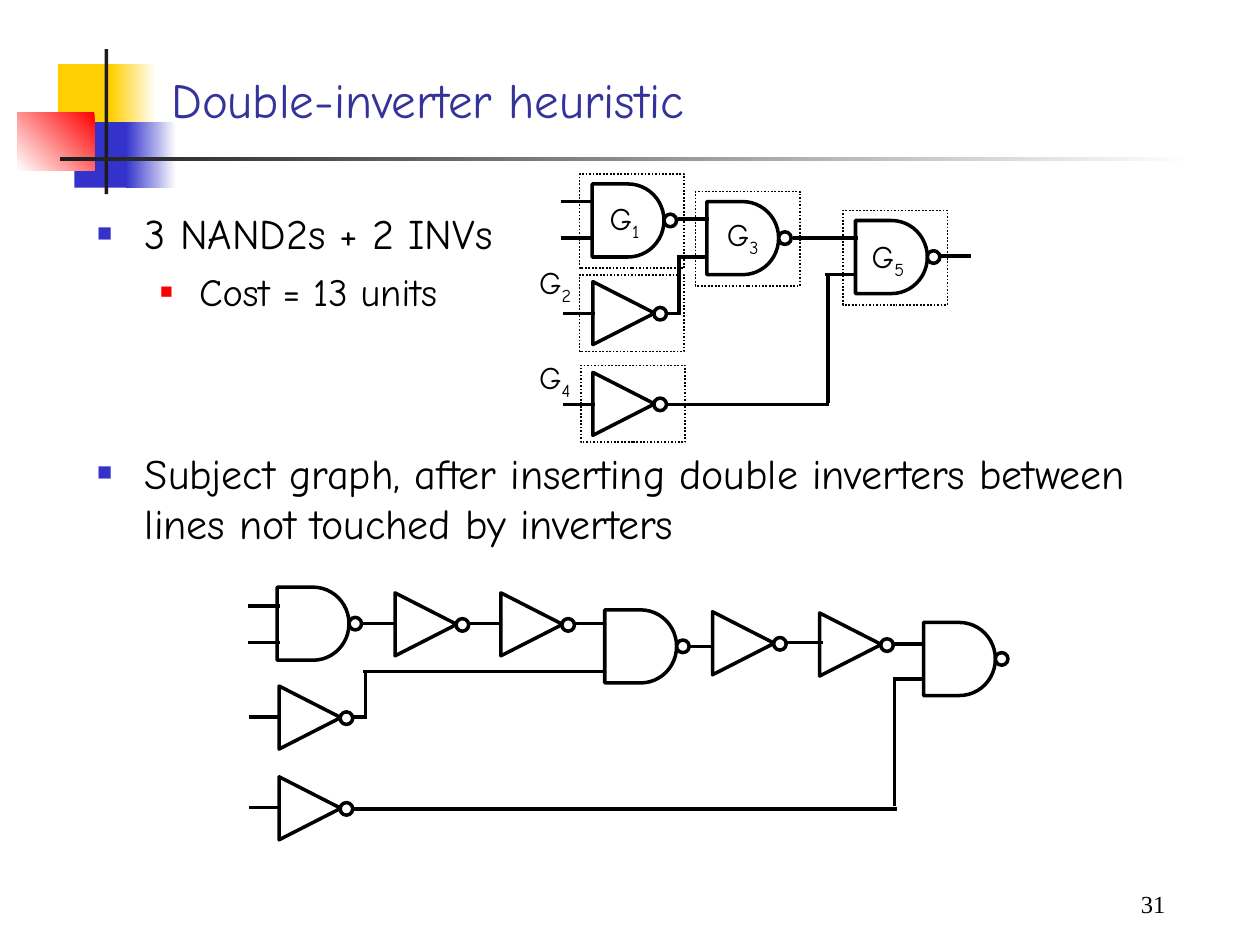
from dataclasses import dataclass
from typing import Optional

from lxml.etree import SubElement
from pptx import Presentation
from pptx.dml.color import RGBColor
from pptx.enum.dml import MSO_LINE
from pptx.enum.shapes import MSO_CONNECTOR, MSO_SHAPE
from pptx.enum.text import MSO_ANCHOR, MSO_AUTO_SIZE, PP_ALIGN
from pptx.oxml.ns import qn
from pptx.util import Inches, Pt

WHITE = RGBColor(0xFF, 0xFF, 0xFF)
BLACK = RGBColor(0x00, 0x00, 0x00)
YELLOW = RGBColor(0xFF, 0xCF, 0x01)
BLUE = RGBColor(0x33, 0x33, 0xCC)
RED = RGBColor(0xFF, 0x00, 0x00)
CHARCOAL = RGBColor(0x1C, 0x1C, 0x1C)
TITLE_BLUE = RGBColor(0x33, 0x33, 0x99)
TEXT_FONT = "Comic Neue"
NUMBER_FONT = "Times New Roman"


@dataclass(frozen=True)
class Block:
    left: float
    top: float
    width: float
    height: float
    color: RGBColor
    fade_to: Optional[RGBColor] = None
    angle: float = 180


@dataclass(frozen=True)
class GateKind:
    preset: MSO_SHAPE
    width: float
    height: float
    rotation: float
    bubble_left: float
    bubble_top: float


@dataclass(frozen=True)
class Gate:
    kind: GateKind
    left: float
    top: float


@dataclass(frozen=True)
class Wire:
    start_x: float
    start_y: float
    end_x: float
    end_y: float


@dataclass(frozen=True)
class Label:
    digit: str
    left: float
    top: float


@dataclass(frozen=True)
class Frame:
    left: float
    top: float
    height: float


@dataclass(frozen=True)
class Bullet:
    text: str
    level: int
    size: float
    space_before: float
    margin: float
    indent: float
    color: RGBColor
    percent: int


NAND = GateKind(MSO_SHAPE.FLOWCHART_DELAY, 0.57, 0.58, 0, 0.57, 0.24)
INVERTER = GateKind(MSO_SHAPE.FLOWCHART_MERGE, 0.5, 0.49, 270, 0.49, 0.2)
BUBBLE_SIZE = 0.1
FRAME_WIDTH = 0.83

BLOCKS = [
    Block(0.46, 0.51, 0.48, 0.52, YELLOW),
    Block(0.88, 0.51, 0.36, 0.52, WHITE, YELLOW),
    Block(0.59, 0.97, 0.46, 0.52, BLUE),
    Block(1, 0.97, 0.4, 0.52, WHITE, BLUE),
    Block(0.14, 0.89, 0.61, 0.46, RED, WHITE, 225),
    Block(0.83, 0.39, 0.03, 1.15, CHARCOAL),
    Block(0.48, 1.25, 9, 0.03, WHITE, CHARCOAL),
]
BULLETS = [
    Bullet("3 NAND2s + 2 INVs", 0, 24, 6, 0.38, -0.38, BLUE, 60),
    Bullet("Cost = 13 units", 1, 22, 5.5, 0.81, -0.31, RED, 55),
    Bullet("Subject graph, after inserting double inverters between lines "
           "not touched by inverters", 0, 24, 76, 0.38, -0.38, BLUE, 60),
]
MAPPED_GATES = [
    Gate(NAND, 4.7, 1.46), Gate(INVERTER, 4.7, 2.24), Gate(NAND, 5.61, 1.6),
    Gate(NAND, 6.79, 1.75), Gate(INVERTER, 4.7, 2.96),
]
MAPPED_WIRES = [
    Wire(4.45, 1.6, 4.7, 1.6), Wire(4.45, 1.89, 4.7, 1.89),
    Wire(4.47, 2.49, 4.72, 2.49), Wire(5.38, 1.74, 5.63, 1.74),
    Wire(5.37, 2.04, 5.62, 2.04), Wire(5.39, 2.04, 5.39, 2.5),
    Wire(5.3, 2.49, 5.38, 2.49), Wire(6.29, 1.89, 6.81, 1.89),
    Wire(6.55, 2.18, 6.8, 2.18), Wire(7.46, 2.03, 7.71, 2.03),
    Wire(6.57, 2.18, 6.57, 3.2), Wire(4.47, 3.21, 4.72, 3.21),
    Wire(5.28, 3.21, 6.58, 3.21),
]
SUBJECT_GATES = [
    Gate(NAND, 2.2, 4.66), Gate(INVERTER, 2.21, 5.45), Gate(NAND, 4.8, 4.84),
    Gate(NAND, 7.33, 4.94), Gate(INVERTER, 2.21, 6.17),
    Gate(INVERTER, 3.13, 4.71), Gate(INVERTER, 3.97, 4.71),
    Gate(INVERTER, 5.65, 4.86), Gate(INVERTER, 6.5, 4.87),
]
SUBJECT_WIRES = [
    Wire(1.97, 4.81, 2.22, 4.81), Wire(1.97, 5.1, 2.22, 5.1),
    Wire(1.98, 5.69, 2.23, 5.69), Wire(2.88, 4.95, 3.13, 4.95),
    Wire(2.88, 5.33, 4.8, 5.33), Wire(2.9, 5.33, 2.9, 5.71),
    Wire(2.81, 5.69, 2.89, 5.69), Wire(5.47, 5.13, 5.65, 5.13),
    Wire(7.09, 5.39, 7.34, 5.39), Wire(7.09, 5.11, 7.34, 5.11),
    Wire(7.1, 5.39, 7.1, 6.4), Wire(1.98, 6.41, 2.23, 6.41),
    Wire(2.79, 6.42, 7.12, 6.42), Wire(3.73, 4.95, 3.98, 4.95),
    Wire(4.56, 4.95, 4.81, 4.95), Wire(6.24, 5.1, 6.53, 5.1),
]
LABELS = [
    Label("1", 4.74, 1.53), Label("2", 4.18, 2.04), Label("3", 5.67, 1.66),
    Label("4", 4.18, 2.79), Label("5", 6.82, 1.83),
]
FRAMES = [
    Frame(4.6, 1.38, 0.75), Frame(4.6, 2.18, 0.61), Frame(5.52, 1.52, 0.75),
    Frame(4.61, 2.9, 0.61), Frame(6.69, 1.67, 0.75),
]


def place(shape, left: float, top: float, width: float, height: float) -> None:
    shape.left, shape.top = Inches(left), Inches(top)
    shape.width, shape.height = Inches(width), Inches(height)


def add_run(paragraph, text: str, size: float, color: RGBColor, font: str = TEXT_FONT):
    run = paragraph.add_run()
    run.text = text
    run.font.size, run.font.name = Pt(size), font
    run.font.color.rgb = color
    return run


def add_preset(slide, preset: MSO_SHAPE, left: float, top: float, width: float, height: float):
    shape = slide.shapes.add_shape(preset, Inches(left), Inches(top), Inches(width), Inches(height))
    shape.shadow.inherit = False
    return shape


def draw_block(slide, block: Block) -> None:
    shape = add_preset(slide, MSO_SHAPE.RECTANGLE, block.left, block.top, block.width, block.height)
    shape.line.fill.background()
    if block.fade_to is None:
        shape.fill.solid()
        shape.fill.fore_color.rgb = block.color
        return
    shape.fill.gradient()
    shape.fill.gradient_angle = block.angle
    for stop, color in zip(shape.fill.gradient_stops, (block.color, block.fade_to)):
        stop.color.rgb = color


def draw_gate(slide, gate: Gate) -> None:
    kind = gate.kind
    body = add_preset(slide, kind.preset, gate.left, gate.top, kind.width, kind.height)
    body.rotation = kind.rotation
    bubble = add_preset(slide, MSO_SHAPE.FLOWCHART_CONNECTOR, gate.left + kind.bubble_left,
                        gate.top + kind.bubble_top, BUBBLE_SIZE, BUBBLE_SIZE)
    for shape in (body, bubble):
        shape.fill.solid()
        shape.fill.fore_color.rgb = WHITE
        shape.line.color.rgb = BLACK
        shape.line.width = Pt(2)


def draw_wire(slide, wire: Wire) -> None:
    connector = slide.shapes.add_connector(
        MSO_CONNECTOR.STRAIGHT, Inches(wire.start_x), Inches(wire.start_y),
        Inches(wire.end_x), Inches(wire.end_y))
    connector.line.color.rgb = BLACK
    connector.line.width = Pt(2)
    SubElement(connector._element.spPr, qn("a:effectLst"))


def draw_label(slide, label: Label) -> None:
    box = slide.shapes.add_textbox(Inches(label.left), Inches(label.top), Inches(0.45), Inches(0.44))
    box.text_frame.word_wrap = True
    box.text_frame.margin_right = 0
    paragraph = box.text_frame.paragraphs[0]
    add_run(paragraph, "G", 18, BLACK)
    subscript = add_run(paragraph, label.digit, 18, BLACK)
    subscript.font._element.set("baseline", "-25000")


def draw_frame(slide, frame: Frame) -> None:
    shape = add_preset(slide, MSO_SHAPE.RECTANGLE, frame.left, frame.top, FRAME_WIDTH, frame.height)
    shape.fill.background()
    shape.line.color.rgb = BLACK
    shape.line.width = Pt(1)
    shape.line.dash_style = MSO_LINE.ROUND_DOT


def write_bullet(paragraph, bullet: Bullet) -> None:
    paragraph.level = bullet.level
    paragraph.space_before = Pt(bullet.space_before)
    add_run(paragraph, bullet.text, bullet.size, BLACK)
    properties = paragraph._p.get_or_add_pPr()
    properties.set("marL", str(Inches(bullet.margin)))
    properties.set("indent", str(Inches(bullet.indent)))
    bullet_color = SubElement(properties, qn("a:buClr"))
    SubElement(bullet_color, qn("a:srgbClr"), val=str(bullet.color))
    SubElement(properties, qn("a:buSzPct"), val=str(bullet.percent * 1000))
    SubElement(properties, qn("a:buChar"), char="■")


def write_text(slide) -> None:
    title, body = slide.shapes.title, slide.placeholders[1]
    place(title, 1.26, 0.22, 8.52, 0.85)
    title.text_frame.vertical_anchor = MSO_ANCHOR.BOTTOM
    title.text_frame.auto_size = MSO_AUTO_SIZE.NONE
    heading = title.text_frame.paragraphs[0]
    heading.alignment = PP_ALIGN.LEFT
    add_run(heading, "Double-inverter heuristic", 28, TITLE_BLUE)
    place(body, 0.67, 1.6, 8.5, 5.2)
    frame = body.text_frame
    frame.auto_size = MSO_AUTO_SIZE.NONE
    for index, bullet in enumerate(BULLETS):
        write_bullet(frame.add_paragraph() if index else frame.paragraphs[0], bullet)


def write_slide_number(slide) -> None:
    box = slide.shapes.add_textbox(Inches(7.42), Inches(6.92), Inches(2.08), Inches(0.5))
    frame = box.text_frame
    frame.word_wrap = True
    frame.vertical_anchor = MSO_ANCHOR.MIDDLE
    frame.margin_left, frame.margin_right = Inches(1.4), Inches(0.25)
    frame.margin_top = frame.margin_bottom = 0
    frame.paragraphs[0].alignment = PP_ALIGN.RIGHT
    add_run(frame.paragraphs[0], "31", 14, BLACK, NUMBER_FONT)


def main() -> None:
    presentation = Presentation()
    presentation.slide_width, presentation.slide_height = Inches(10), Inches(7.5)
    slide = presentation.slides.add_slide(presentation.slide_layouts[1])
    write_text(slide)
    for draw, items in (
        (draw_block, BLOCKS),
        (draw_gate, SUBJECT_GATES + MAPPED_GATES),
        (draw_wire, SUBJECT_WIRES + MAPPED_WIRES),
        (draw_label, LABELS),
        (draw_frame, FRAMES),
    ):
        for item in items:
            draw(slide, item)
    write_slide_number(slide)
    presentation.save("out.pptx")


if __name__ == "__main__":
    main()
